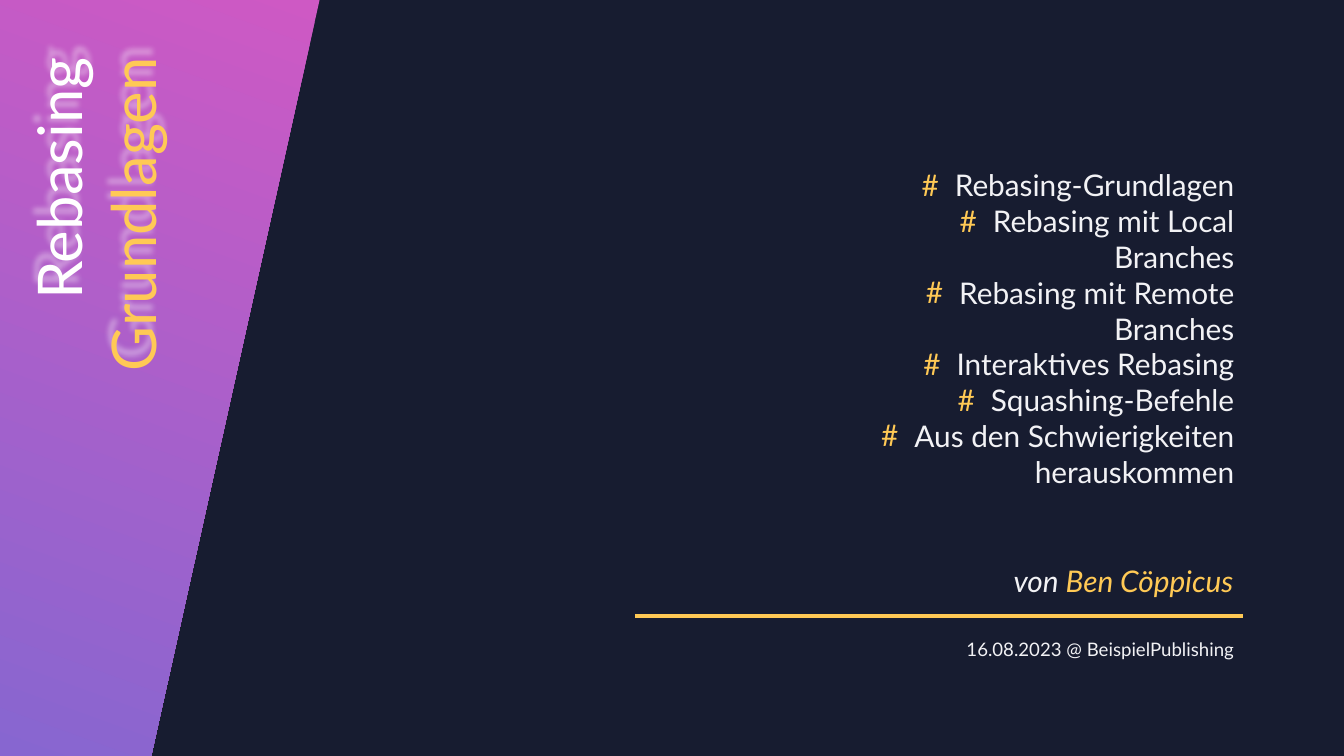
from dataclasses import dataclass

from lxml.etree import SubElement
from pptx import Presentation
from pptx.dml.color import RGBColor as RGB
from pptx.enum.shapes import MSO_CONNECTOR as CONN
from pptx.enum.text import MSO_AUTO_SIZE as FIT, PP_ALIGN as ALIGN
from pptx.oxml.ns import qn
from pptx.util import Inches, Pt


@dataclass(frozen=True)
class Theme:
    font: str = "Lato"
    night: str = "171C30"
    pink: str = "CE59C4"
    violet: str = "8766D0"
    gold: str = "FFC955"
    white: str = "FFFFFF"
    pale: str = "F2F2F5"
    title: float = 44
    body: float = 21.3
    small: float = 13.3


T = Theme()
TOPICS = [
    "Rebasing-Grundlagen",
    "Rebasing mit Local Branches",
    "Rebasing mit Remote Branches",
    "Interaktives Rebasing",
    "Squashing-Befehle",
    "Aus den Schwierigkeiten herauskommen",
]


def add_panel(slide, corners):
    points = [(Inches(x), Inches(y)) for x, y in corners]
    builder = slide.shapes.build_freeform(*points[0])
    builder.add_line_segments(points[1:], close=True)
    sp = builder.convert_to_shape()
    sp.shadow.inherit = False
    sp.line.fill.background()
    sp.fill.gradient()
    sp.fill.gradient_angle = 250
    for stop, color in zip(sp.fill.gradient_stops, (T.pink, T.violet)):
        stop.color.rgb = RGB.from_string(color)


def add_bullet(p):
    pPr = p._p.get_or_add_pPr()
    pPr.set("marL", str(Inches(0.33)))
    pPr.set("indent", str(-Inches(0.33)))
    SubElement(SubElement(pPr, qn("a:buClr")), qn("a:srgbClr"), val=T.gold)
    SubElement(pPr, qn("a:buFont"), typeface=T.font)
    SubElement(pPr, qn("a:buChar"), char="#")


def add_text(slide, box, paragraphs, size, italic=False, bullets=False):
    sp = slide.shapes.add_textbox(*map(Inches, box))
    tf = sp.text_frame
    tf.word_wrap = True
    tf.auto_size = FIT.SHAPE_TO_FIT_TEXT
    for i, runs in enumerate(paragraphs):
        p = tf.add_paragraph() if i else tf.paragraphs[0]
        p.alignment = ALIGN.RIGHT
        if bullets:
            add_bullet(p)
        for text, color in runs:
            r = p.add_run()
            r.text = text
            r.font.name = T.font
            r.font.size = Pt(size)
            r.font.italic = italic
            r.font.color.rgb = RGB.from_string(color)
    return sp


def add_soft_shadow(sp):
    effects = SubElement(sp._element.spPr, qn("a:effectLst"))
    shadow = SubElement(effects, qn("a:outerShdw"), blurRad=str(Pt(4)),
                        dist=str(Inches(0.13)), dir=str(252 * 60000),
                        algn="ctr", rotWithShape="0")
    color = SubElement(shadow, qn("a:srgbClr"), val=T.white)
    SubElement(color, qn("a:alpha"), val="40000")


def add_rule(slide, x1, x2, y):
    line = slide.shapes.add_connector(
        CONN.STRAIGHT, Inches(x1), Inches(y), Inches(x2), Inches(y))
    line.line.color.rgb = RGB.from_string(T.gold)
    line.line.width = Pt(3)
    SubElement(line._element.spPr, qn("a:effectLst"))


def main():
    prs = Presentation()
    prs.slide_width, prs.slide_height = Inches(13.33), Inches(7.5)
    slide = prs.slides.add_slide(prs.slide_layouts[6])
    slide.background.fill.solid()
    slide.background.fill.fore_color.rgb = RGB.from_string(T.night)

    add_panel(slide, [(0, 0), (3.17, 0), (1.5, 7.5), (0, 7.5)])
    title = add_text(slide, (-2.33, 2.96, 6.56, 1.58),
                     [[("Rebasing", T.white)], [("Grundlagen", T.gold)]], T.title)
    title.rotation = 270
    add_soft_shadow(title)

    add_text(slide, (8.17, 1.61, 4.17, 2.97),
             [[(topic, T.pale)] for topic in TOPICS], T.body, bullets=True)
    add_rule(slide, 6.3, 12.33, 6.11)
    add_text(slide, (7.89, 5.53, 4.44, 0.46),
             [[("von ", T.pale), ("Ben Cöppicus", T.gold)]], T.body, italic=True)
    add_text(slide, (7.28, 6.28, 5.06, 0.33),
             [[("16.08.2023 @ BeispielPublishing", T.pale)]], T.small)
    prs.save("out.pptx")


if __name__ == "__main__":
    main()
